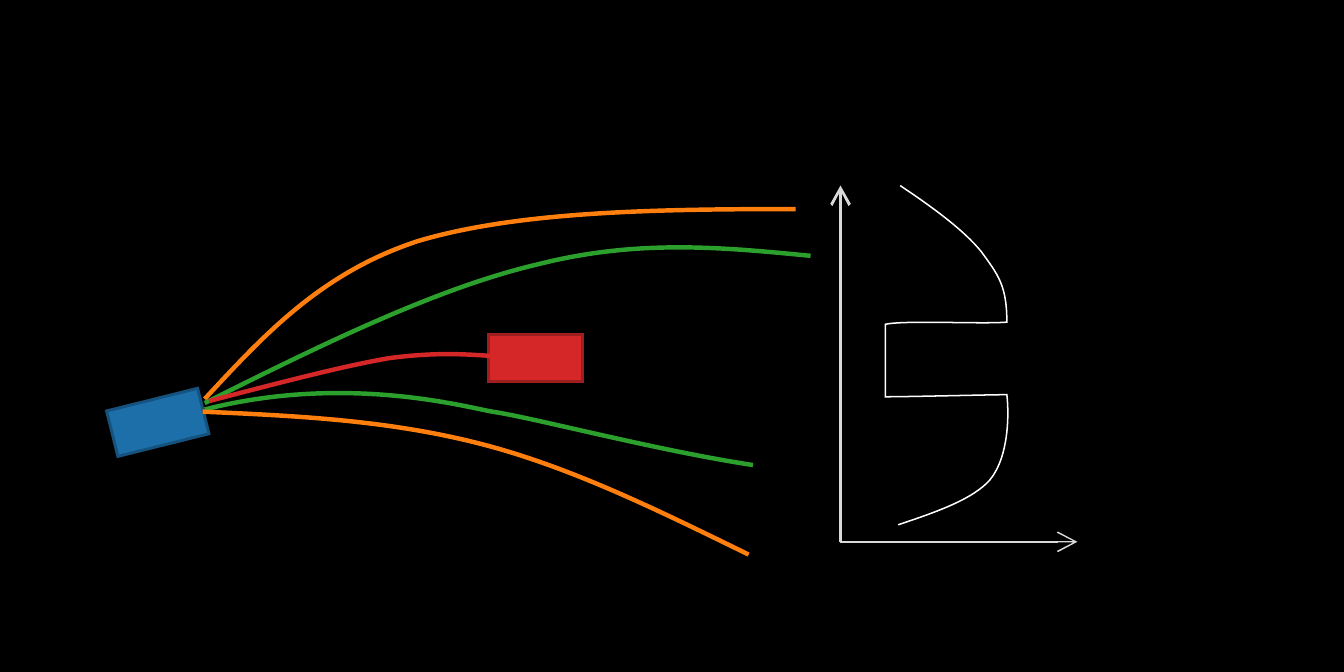
from dataclasses import dataclass

from lxml import etree
from pptx import Presentation
from pptx.dml.color import RGBColor
from pptx.enum.shapes import MSO_CONNECTOR, MSO_SHAPE
from pptx.oxml.ns import qn
from pptx.util import Inches, Pt

RECTANGLE = MSO_SHAPE.RECTANGLE
STRAIGHT = MSO_CONNECTOR.STRAIGHT
STEPS_PER_CURVE = 24


@dataclass(frozen=True)
class Theme:
    background: str = "000000"
    vehicle: str = "1D6FA9"
    vehicle_edge: str = "15527D"
    obstacle: str = "D62728"
    obstacle_edge: str = "9E1D1E"
    outer_path: str = "FF7F0E"
    inner_path: str = "2CA02C"
    blocked_path: str = "D62728"
    axis: str = "D9D9D9"
    profile: str = "FFFFFF"
    thin: float = 0.5
    medium: float = 1
    thick: float = 1.5


def bezier_point(t, *controls):
    """Return the point at t on the cubic curve with four control points."""
    u = 1 - t
    weights = (u**3, 3 * u**2 * t, 3 * u * t**2, t**3)
    return tuple(
        Inches(sum(w * point[axis] for w, point in zip(weights, controls)))
        for axis in (0, 1)
    )


class Sketch:
    def __init__(self, deck, theme):
        self.theme = theme
        self.page = deck.slides.add_slide(deck.slide_layouts[6])
        fill = self.page.background.fill
        fill.solid()
        fill.fore_color.rgb = RGBColor.from_string(theme.background)

    def style_line(self, shape, color, width):
        """Set colour, width and sharp corners; return the line element."""
        shape.line.color.rgb = RGBColor.from_string(color)
        shape.line.width = Pt(width)
        line = shape.line._get_or_add_ln()
        etree.SubElement(line, qn("a:miter"), lim="800000")
        return line

    def block(self, left, top, color, edge, rotation=0):
        box = self.page.shapes.add_shape(
            RECTANGLE, Inches(left), Inches(top), Inches(0.44), Inches(0.22)
        )
        box.rotation = rotation
        box.shadow.inherit = False
        box.fill.solid()
        box.fill.fore_color.rgb = RGBColor.from_string(color)
        self.style_line(box, edge, self.theme.medium)

    def curve(self, start, segments, color, width):
        """Draw an open line of cubic segments, each (control, control, end).

        Sampled points give the shape its true extents; the path itself
        then holds only the cubic segments.
        """
        builder = self.page.shapes.build_freeform(*map(Inches, start))
        samples, segment_start = [], start
        for segment in segments:
            samples += [
                bezier_point(step / STEPS_PER_CURVE, segment_start, *segment)
                for step in range(1, STEPS_PER_CURVE + 1)
            ]
            segment_start = segment[-1]
        builder.add_line_segments(samples, close=False)
        outline = builder.convert_to_shape()

        outline_path = outline._element.spPr.find(".//" + qn("a:path"))
        for line_step in outline_path.findall(qn("a:lnTo")):
            outline_path.remove(line_step)
        for segment in segments:
            cubic = etree.SubElement(outline_path, qn("a:cubicBezTo"))
            for x, y in segment:
                etree.SubElement(
                    cubic, qn("a:pt"),
                    x=str(Inches(x) - outline.left),
                    y=str(Inches(y) - outline.top),
                )

        outline.shadow.inherit = False
        outline.fill.background()
        self.style_line(outline, color, width)

    def axis(self, start, end, width, arrow_end):
        arrow = self.page.shapes.add_connector(
            STRAIGHT, *map(Inches, (*start, *end))
        )
        line = self.style_line(arrow, self.theme.axis, width)
        etree.SubElement(line, qn(arrow_end), type="arrow")
        etree.SubElement(arrow._element.spPr, qn("a:effectLst"))


def main():
    deck = Presentation()
    deck.slide_width, deck.slide_height = Inches(6.3), Inches(3.15)
    theme = Theme()
    sketch = Sketch(deck, theme)

    sketch.block(0.52, 1.87, theme.vehicle, theme.vehicle_edge, rotation=346)
    sketch.block(2.29, 1.57, theme.obstacle, theme.obstacle_edge)

    trajectories = [
        (theme.outer_path, (0.96, 1.87), [
            ((1.23, 1.58), (1.5, 1.28), (1.96, 1.13)),
            ((2.43, 0.99), (3.08, 0.98), (3.73, 0.98)),
        ]),
        (theme.inner_path, (0.96, 1.89), [
            ((1.5, 1.62), (2.05, 1.35), (2.52, 1.24)),
            ((2.99, 1.12), (3.39, 1.16), (3.8, 1.2)),
        ]),
        (theme.blocked_path, (0.98, 1.88), [
            ((1.29, 1.8), (1.59, 1.72), (1.82, 1.68)),
            ((2.04, 1.65), (2.18, 1.66), (2.32, 1.67)),
        ]),
        (theme.inner_path, (0.96, 1.92), [
            ((1.62, 1.75), (2.19, 1.91), (2.31, 1.93)),
            ((2.51, 1.96), (3.07, 2.11), (3.53, 2.18)),
        ]),
        (theme.outer_path, (0.95, 1.93), [
            ((1.39, 1.95), (1.82, 1.97), (2.25, 2.08)),
            ((2.68, 2.19), (3.1, 2.4), (3.51, 2.6)),
        ]),
    ]
    for color, start, segments in trajectories:
        sketch.curve(start, segments, color, theme.thick)

    origin = (3.94, 2.54)
    sketch.axis((3.94, 0.87), origin, theme.medium, "a:headEnd")
    profile = [
        ((4.37, 0.97), (4.52, 1.08), (4.6, 1.18)),
        ((4.68, 1.29), (4.72, 1.34), (4.72, 1.51)),
        ((4.61, 1.52), (4.24, 1.5), (4.15, 1.52)),
        ((4.15, 1.64), (4.15, 1.79), (4.15, 1.86)),
        ((4.26, 1.86), (4.65, 1.85), (4.72, 1.85)),
        ((4.73, 1.94), (4.73, 2.14), (4.64, 2.25)),
        ((4.56, 2.34), (4.39, 2.4), (4.21, 2.46)),
    ]
    sketch.curve((4.22, 0.87), profile, theme.profile, theme.thin)
    sketch.axis(origin, (5.05, 2.54), theme.thin, "a:tailEnd")

    deck.save("out.pptx")


if __name__ == "__main__":
    main()
